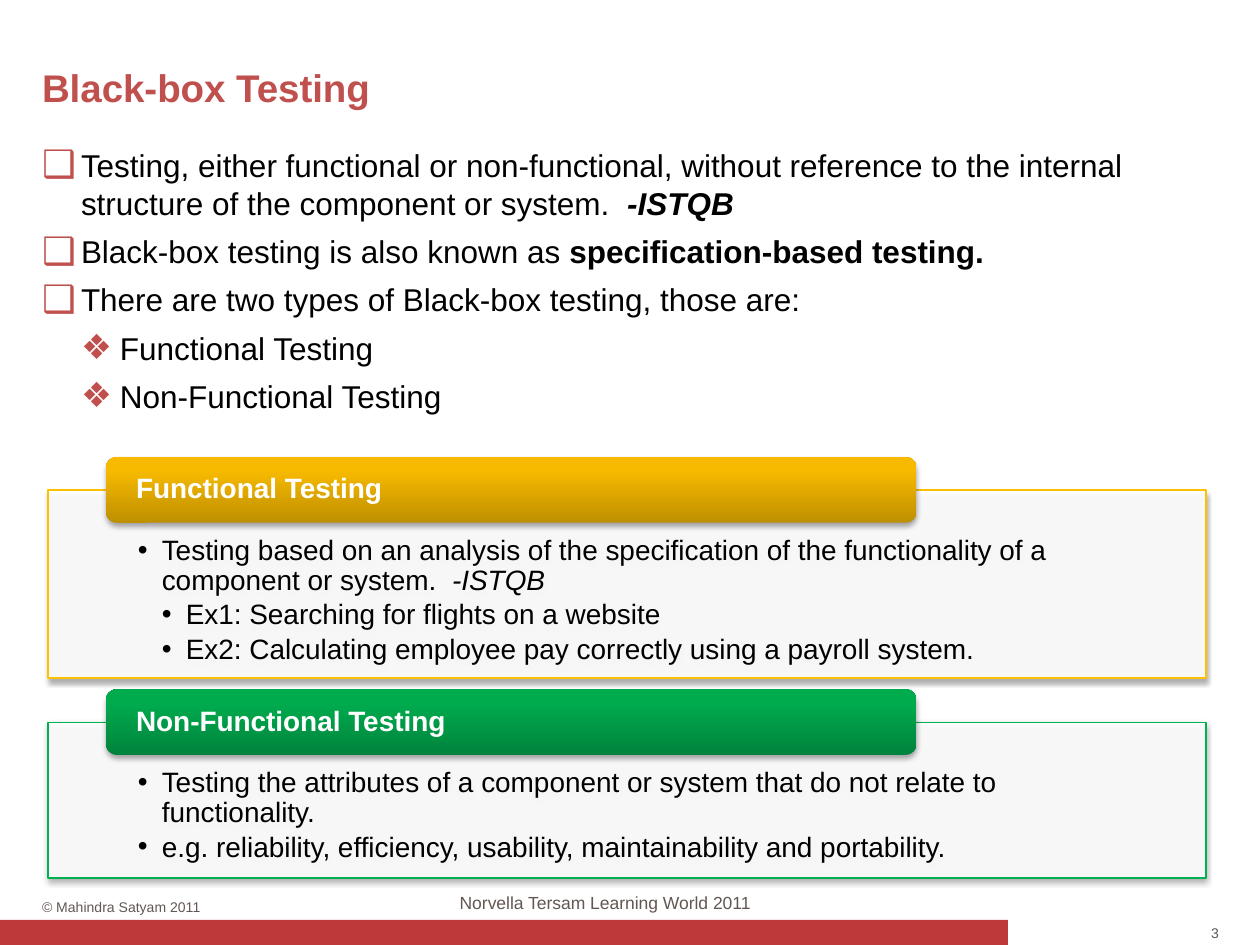
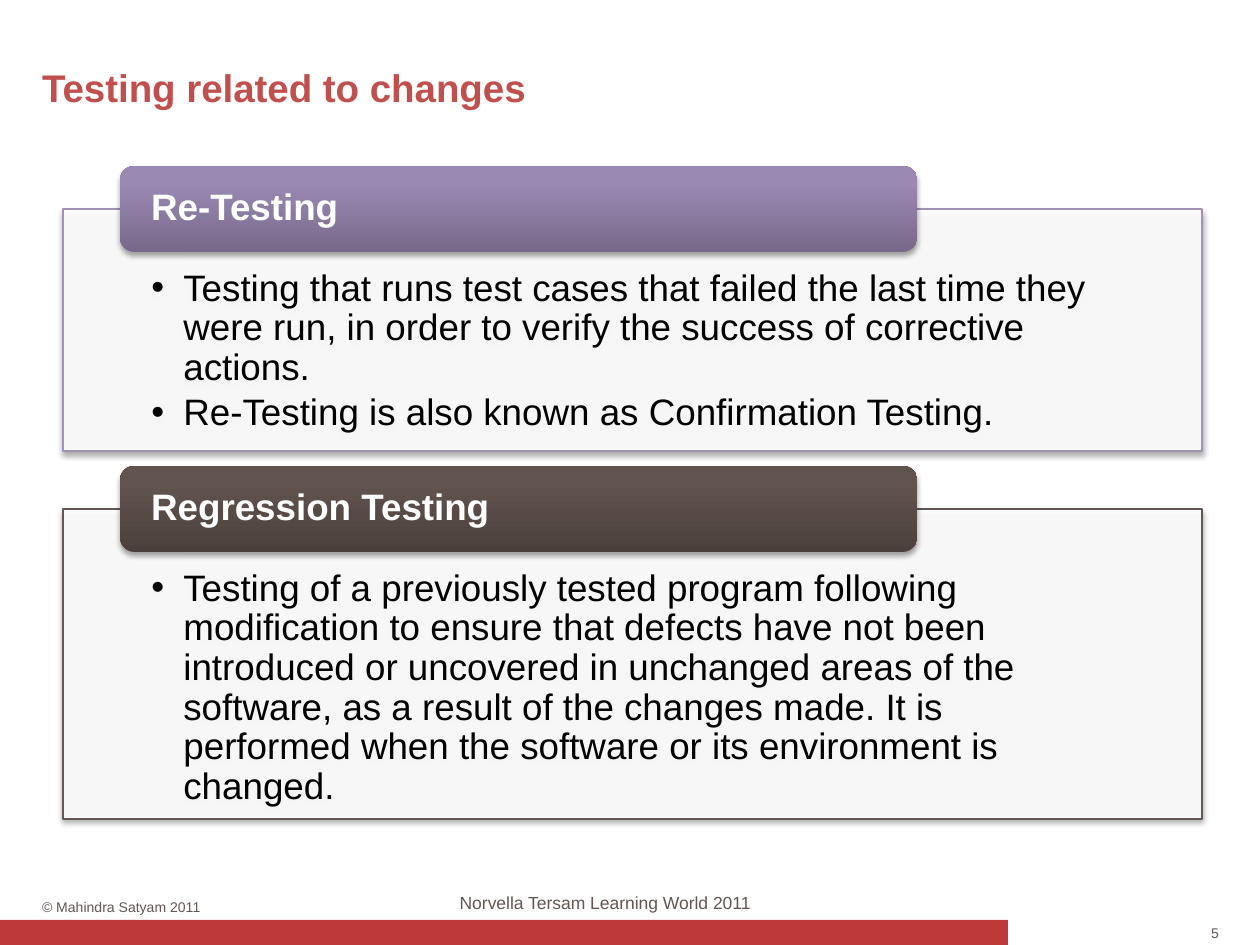
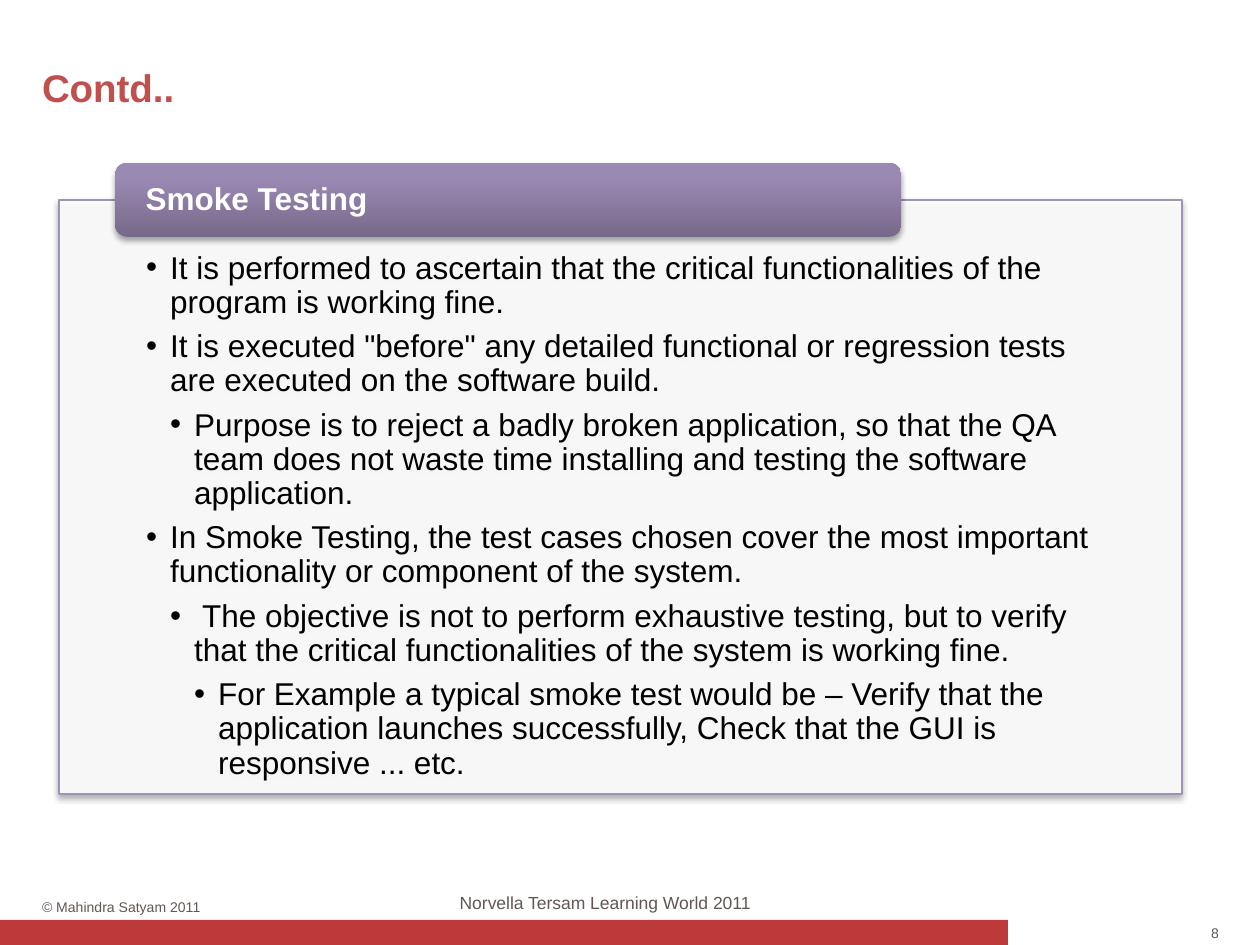
from lxml import etree
from pptx import Presentation, util as u
from pptx.dml.color import RGBColor
from pptx.enum import shapes, text
from pptx.oxml import ns

# Shared look
PX = 914400 / 126
FONT = "Arial"
RED = RGBColor(0xC0, 0x50, 0x4D)
BAND_RED = RGBColor(0xBE, 0x3A, 0x3A)
BROWN = RGBColor(0x62, 0x57, 0x53)
BLACK = RGBColor(0, 0, 0)
WHITE = RGBColor(255, 255, 255)
LILAC = RGBColor(0xA0, 0x92, 0xB4)
YELLOW = RGBColor(0xFF, 0xC0, 0x00)
GREEN = RGBColor(0x00, 0xB0, 0x50)

# Panel outline, then dark and light ends of the tab
GOLD_THEME = (YELLOW, RGBColor(0xBE, 0x8F, 0x00), RGBColor(0xF7, 0xBA, 0x00))
GREEN_THEME = (GREEN, RGBColor(0x00, 0x83, 0x3C), RGBColor(0x00, 0xAB, 0x4E))
PURPLE_THEME = (LILAC, RGBColor(0x77, 0x69, 0x8A), RGBColor(0x9A, 0x89, 0xB3))
BROWN_THEME = (BROWN, RGBColor(0x4B, 0x40, 0x3C), RGBColor(0x61, 0x53, 0x4E))

# Footer texts: text, box, size, alignment
FOOTERS = [
    ("© Mahindra Satyam 2011", (42, 898, 194, 16), 8, text.PP_ALIGN.LEFT),
    ("Norvella Tersam Learning World 2011", (333, 892, 544, 21), 10, text.PP_ALIGN.CENTER),
]
NUMBER_BOX = (1182, 924, 37, 16)
TITLE_BOX = (42, 64, 1177, 47)
BODY_BOX = (42, 146, 1177, 320)
BODY_BULLETS = [("❑", 120), ("❖", 110)]

# Content; list items are (level, [(text, style), ...]), b = bold, i = italic
SLIDES = [
    {
        "title": "Black-box Testing", "number": 3,
        "body": [
            (0, [("Testing, either functional or non-functional, without reference to the "
                  "internal structure of the component or system.  ", ""), ("-ISTQB", "bi")]),
            (0, [("Black-box testing is also known as ", ""),
                 ("specification-based testing.", "b")]),
            (0, [("There are two types of Black-box testing, those are:", "")]),
            (1, [("Functional Testing", "")]),
            (1, [("Non-Functional Testing", "")]),
        ],
        "left": 48, "top": 490, "width": 1158, "size": 16, "indent": 24, "after": 2.4,
        "panels": [
            ("Functional Testing", GOLD_THEME, 188, [
                (0, [("Testing based on an analysis of the specification of the functionality "
                      "of a component or system.  ", ""), ("-ISTQB", "i")]),
                (1, [("Ex1: Searching for flights on a website", "")]),
                (1, [("Ex2: Calculating employee pay correctly using a payroll system.", "")]),
            ]),
            ("Non-Functional Testing", GREEN_THEME, 156, [
                (0, [("Testing the attributes of a component or system that do not relate to "
                      "functionality.", "")]),
                (0, [("e.g. reliability, efficiency, usability, maintainability and "
                      "portability.", "")]),
            ]),
        ],
    },
    {
        "title": "Testing related to changes", "number": 5, "body": [],
        "left": 63, "top": 209, "width": 1139, "size": 21, "indent": 32, "after": 3.15,
        "panels": [
            ("Re-Testing", PURPLE_THEME, 242, [
                (0, [("Testing that runs test cases that failed the last time they were run, "
                      "in order to verify the success of corrective actions.", "")]),
                (0, [("Re-Testing is also known as Confirmation Testing.", "")]),
            ]),
            ("Regression Testing", BROWN_THEME, 310, [
                (0, [("Testing of a previously tested program following modification to ensure "
                      "that defects have not been introduced or uncovered in unchanged areas of "
                      "the software, as a result of the changes made. It is performed when the "
                      "software or its environment is changed.", "")]),
            ]),
        ],
    },
    {
        "title": "Contd..", "number": 8, "body": [],
        "left": 59, "top": 200, "width": 1123, "size": 18, "indent": 24, "after": 6,
        "panels": [
            ("Smoke Testing", PURPLE_THEME, 594, [
                (0, [("It is performed to ascertain that the critical functionalities of the "
                      "program is working fine.", "")]),
                (0, [('It is executed "before" any detailed functional or regression tests are '
                      "executed on the software build.", "")]),
                (1, [("Purpose is to reject a badly broken application, so that the QA team "
                      "does not waste time installing and testing the software application.", "")]),
                (0, [("In Smoke Testing, the test cases chosen cover the most important "
                      "functionality or component of the system.", "")]),
                (1, [(" The objective is not to perform exhaustive testing, but to verify that "
                      "the critical functionalities of the system is working fine.", "")]),
                (2, [("For Example a typical smoke test would be – Verify that the application "
                      "launches successfully, Check that the GUI is responsive ... etc.", "")]),
            ]),
        ],
    },
]


def emu(*lengths):
    return [round(length * PX) for length in lengths]


def place(shape, box):
    shape.left, shape.top, shape.width, shape.height = emu(*box)


def add_xml(parent, tag, **attributes):
    return etree.SubElement(parent, ns.qn(tag), attributes)


def set_frame(frame, insets=(0, 0, 0, 0), anchor=text.MSO_ANCHOR.TOP):
    frame.auto_size = text.MSO_AUTO_SIZE.NONE
    frame.word_wrap = True
    frame.vertical_anchor = anchor
    (frame.margin_left, frame.margin_top,
     frame.margin_right, frame.margin_bottom) = emu(*insets)


def set_font(font, size, color, bold=False, italic=False):
    font.name, font.size = FONT, u.Pt(size)
    font.bold, font.italic = bold, italic
    font.color.rgb = color


def write_line(frame, words, size, color, align=text.PP_ALIGN.LEFT, bold=False):
    frame.text = words
    paragraph = frame.paragraphs[0]
    paragraph.alignment = align
    set_font(paragraph.runs[0].font, size, color, bold)


def write_list(frame, items, size, indent, after, spacing, bullets, bullet_color):
    for index, (level, pieces) in enumerate(items):
        paragraph = frame.paragraphs[0] if index == 0 else frame.add_paragraph()
        paragraph.level = level
        paragraph.alignment = text.PP_ALIGN.LEFT
        mark, percent = bullets[min(level, len(bullets) - 1)]
        properties = paragraph._p.get_or_add_pPr()
        properties.set("marL", str(round(indent * (level + 1) * PX)))
        properties.set("indent", str(round(-indent * PX)))
        add_xml(add_xml(properties, "a:buClr"), "a:srgbClr", val=str(bullet_color))
        add_xml(properties, "a:buSzPct", val=str(percent * 1000))
        add_xml(properties, "a:buFont", typeface=FONT)
        add_xml(properties, "a:buChar", char=mark)
        paragraph.line_spacing = spacing
        paragraph.space_before, paragraph.space_after = u.Pt(0), u.Pt(after)
        for words, style in pieces:
            run = paragraph.add_run()
            run.text = words
            set_font(run.font, size, BLACK, "b" in style, "i" in style)


def add_shadow(shape):
    shape.shadow.inherit = False
    effects = shape._element.spPr.find(ns.qn("a:effectLst"))
    shadow = add_xml(effects, "a:outerShdw", blurRad=str(u.Pt(3.1)), dist=str(u.Pt(1.8)),
                     dir="5400000", rotWithShape="0")
    add_xml(add_xml(shadow, "a:srgbClr", val="000000"), "a:alpha", val="35000")


def add_text(slide, words, box, size, align):
    label = slide.shapes.add_textbox(*emu(*box))
    set_frame(label.text_frame)
    write_line(label.text_frame, words, size, BROWN, align)


def add_furniture(slide, number):
    band = slide.shapes.add_shape(shapes.MSO_SHAPE.RECTANGLE, *emu(0, 920, 1008, 25))
    band.shadow.inherit = False
    band.fill.solid()
    band.fill.fore_color.rgb = BAND_RED
    band.line.fill.background()
    for footer in FOOTERS:
        add_text(slide, *footer)
    add_text(slide, str(number), NUMBER_BOX, 8, text.PP_ALIGN.RIGHT)


def add_panel(slide, content, top, heading, theme, height, items):
    outline, dark, light = theme
    left, width, size = content["left"], content["width"], content["size"]

    # Box with its list
    panel = slide.shapes.add_shape(shapes.MSO_SHAPE.RECTANGLE, *emu(left, top, width, height))
    panel.fill.solid()
    panel.fill.fore_color.rgb = WHITE
    color = panel._element.spPr.find(ns.qn("a:solidFill"))[0]
    add_xml(color, "a:alpha", val="90000")
    panel.line.color.rgb, panel.line.width = outline, u.Pt(0.75)
    add_shadow(panel)
    side = width * 0.0776
    set_frame(panel.text_frame, (side, size * 2.88, side, size))
    write_list(panel.text_frame, items, size, content["indent"], content["after"], 0.9,
               [("•", 100)], BLACK)

    # Heading tab, centred on the top edge of the box
    tab_height = size * 4.1
    tab = slide.shapes.add_shape(
        shapes.MSO_SHAPE.ROUNDED_RECTANGLE,
        *emu(left + width * 0.05, top - tab_height / 2, width * 0.7, tab_height))
    tab.fill.gradient()
    tab.fill.gradient_angle = 90
    for stop, color, position in zip(tab.fill.gradient_stops, (dark, light), (0, 0.8)):
        stop.color.rgb, stop.position = color, position
    tab.line.fill.background()
    add_shadow(tab)
    set_frame(tab.text_frame, (27, 0, 27, 0), text.MSO_ANCHOR.MIDDLE)
    write_line(tab.text_frame, heading, size, WHITE, bold=True)
    tab.text_frame.paragraphs[0].line_spacing = 0.9


def add_slide(presentation, content):
    layout = presentation.slide_layouts[1 if content["body"] else 5]
    slide = presentation.slides.add_slide(layout)
    add_furniture(slide, content["number"])

    title = slide.shapes.title
    place(title, TITLE_BOX)
    set_frame(title.text_frame)
    write_line(title.text_frame, content["title"], 22, RED, bold=True)

    if content["body"]:
        body = slide.placeholders[1]
        place(body, BODY_BOX)
        set_frame(body.text_frame)
        write_list(body.text_frame, content["body"], 18, 39, 6, 1.0, BODY_BULLETS, RED)

    top = content["top"]
    for heading, theme, height, items in content["panels"]:
        add_panel(slide, content, top, heading, theme, height, items)
        top += height + content["size"] * 2.76


def main():
    presentation = Presentation()
    presentation.slide_width, presentation.slide_height = emu(1260, 945)
    for content in SLIDES:
        add_slide(presentation, content)
    presentation.save("out.pptx")


if __name__ == "__main__":
    main()
